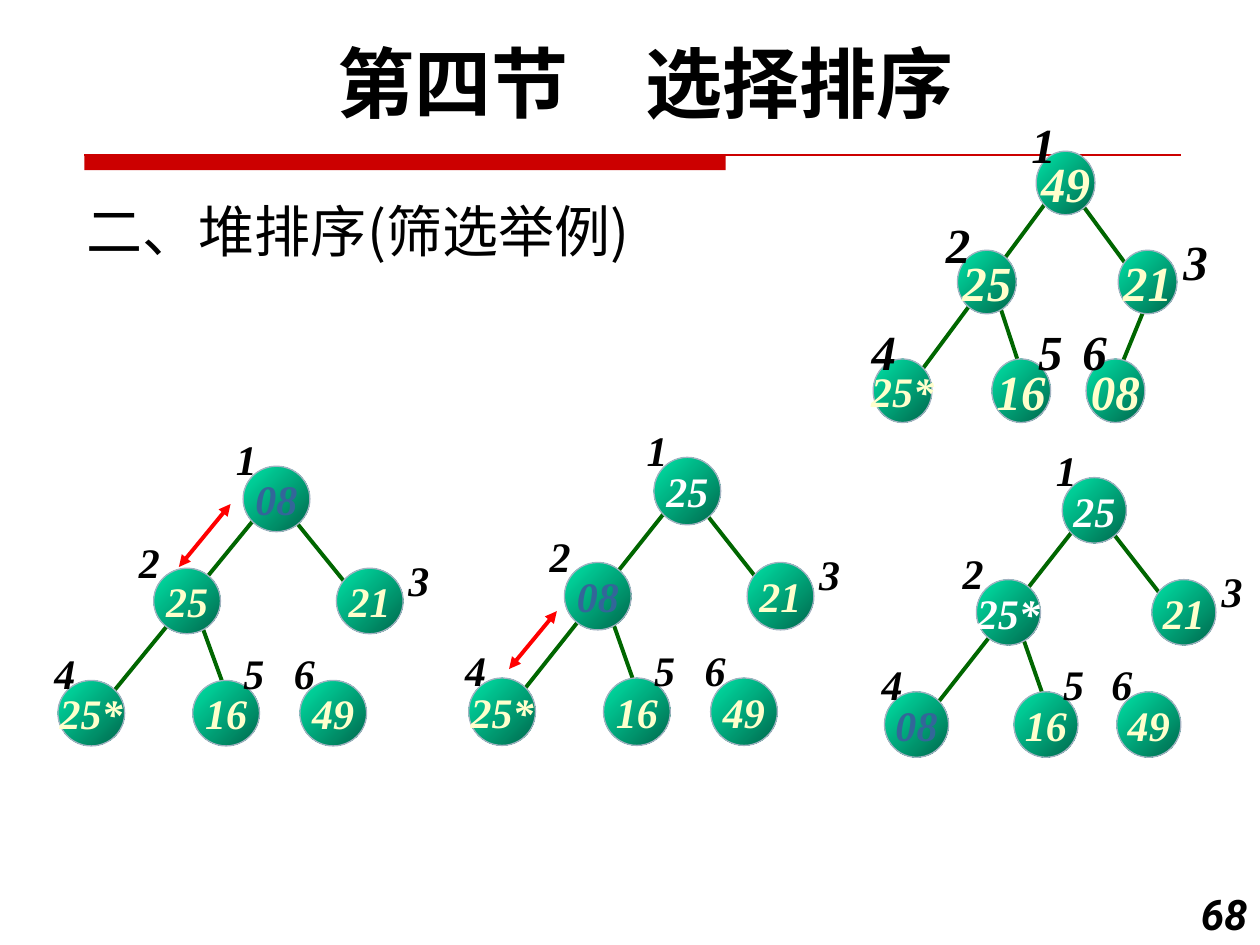
import dataclasses
import typing

import pptx
import pptx.dml.color
import pptx.enum.shapes
import pptx.enum.text
import pptx.oxml
import pptx.oxml.ns
import pptx.util

Inches = pptx.util.Inches
Point = tuple[float, float]
Edge = tuple[Point, Point]


@dataclasses.dataclass(frozen=True)
class Theme:
    red: str = "CC0000"
    swap: str = "FF0000"
    edge: str = "006600"
    node_light: str = "00E4A8"
    node_dark: str = "00684C"
    node_outline: str = "A3B2C1"
    ink: str = "000000"
    settled: str = "FFFFCC"
    moved: str = "FFFFFF"
    sifted: str = "336699"
    title_font: str = "Roboto"
    body_font: str = "Noto Sans CJK SC"
    number_font: str = "Times New Roman"
    title_size: int = 44
    body_size: int = 32
    large_size: int = 28
    small_size: int = 24
    edge_width: float = 2.25
    thin_width: float = 0.75


THEME = Theme()


@dataclasses.dataclass(frozen=True)
class TextStyle:
    font: str
    size: int
    color: str = THEME.ink
    bold: bool = True
    italic: bool = True


@dataclasses.dataclass(frozen=True)
class HeapTree:
    """A six-node heap; positions scale from the shared layout below."""
    left: float
    top: float
    scale_x: float
    scale_y: float
    values: tuple[str, ...]
    colors: tuple[str, ...]
    size: int = THEME.small_size
    label_box: Point = (0.37, 0.5)
    linked_last: bool = False
    swap: typing.Optional[Edge] = None

    def place(self, point: Point) -> Point:
        return (self.left + point[0] * self.scale_x,
                self.top + point[1] * self.scale_y)


# Shared tree layout, relative to the tree's left and the root's top
NODE_SIZE = (0.53, 0.52)
NODES = ((1.47, 0), (0.76, 0.81), (2.21, 0.81), (0, 1.7), (1.07, 1.7), (1.92, 1.7))
LABELS = ((1.31, -0.06), (0.54, 0.76), (2.68, 0.9),
          (-0.13, 1.64), (1.37, 1.64), (1.77, 1.64))  # left, middle
EDGES = (((1.83, 0.37), (2.43, 1.11)),
         ((1.14, 1.26), (1.3, 1.7)),
         ((1.6, 0.37), (0.39, 1.85)))
LAST_EDGE = ((2.46, 1.26), (2.23, 1.77))

SETTLED, MOVED, SIFTED = THEME.settled, THEME.moved, THEME.sifted
TREES = (
    HeapTree(0.46, 3.7, 1, 1, ("08", "25", "21", "25*", "16", "49"),
             (SIFTED,) + (SETTLED,) * 5, swap=((1.42, 4.5), (1.83, 4))),
    HeapTree(3.72, 3.63, 1, 1.03, ("25", "08", "21", "25*", "16", "49"),
             (MOVED, SIFTED) + (SETTLED,) * 4, swap=((4.04, 5.31), (4.42, 4.85))),
    HeapTree(7.02, 3.79, 0.96, 1, ("25", "25*", "21", "08", "16", "49"),
             (MOVED, MOVED, SETTLED, SIFTED, SETTLED, SETTLED)),
    HeapTree(6.93, 1.2, 0.88, 0.97, ("49", "25", "21", "25*", "16", "08"),
             (SETTLED,) * 6, THEME.large_size, (0.4, 0.57), linked_last=True),
)


def rgb(color: str) -> pptx.dml.color.RGBColor:
    return pptx.dml.color.RGBColor.from_string(color)


def write_text(shape, text: str, style: TextStyle, align, anchor, wrap: bool) -> None:
    frame = shape.text_frame
    frame.word_wrap = wrap
    frame.vertical_anchor = anchor
    paragraph = frame.paragraphs[0]
    paragraph.alignment = align
    run = paragraph.add_run()
    run.text = text
    font = run.font
    font.name, font.size = style.font, pptx.util.Pt(style.size)
    font.bold, font.italic = style.bold, style.italic
    font.color.rgb = rgb(style.color)
    east_asian = pptx.oxml.parse_xml(
        f'<a:ea {pptx.oxml.ns.nsdecls("a")} typeface="{THEME.body_font}"/>')
    run.font._element.append(east_asian)


def add_text(shapes, box: tuple[float, ...], text: str, style: TextStyle,
             align=pptx.enum.text.PP_ALIGN.CENTER,
             anchor=pptx.enum.text.MSO_ANCHOR.TOP, wrap: bool = True) -> None:
    text_box = shapes.add_textbox(*map(Inches, box))
    write_text(text_box, text, style, align, anchor, wrap)


def add_line(shapes, edge: Edge, color: str, width: float, arrows: bool = False) -> None:
    start, end = edge
    connector = shapes.add_connector(pptx.enum.shapes.MSO_CONNECTOR.STRAIGHT,
                                     *map(Inches, (*start, *end)))
    connector.line.color.rgb = rgb(color)
    connector.line.width = pptx.util.Pt(width)
    namespace = pptx.oxml.ns.nsdecls("a")
    if arrows:
        for tag in ("headEnd", "tailEnd"):
            connector.line._get_or_add_ln().append(
                pptx.oxml.parse_xml(f'<a:{tag} {namespace} type="triangle"/>'))
    connector._element.spPr.append(pptx.oxml.parse_xml(f"<a:effectLst {namespace}/>"))


def add_node(shapes, box: tuple[float, ...], value: str, style: TextStyle) -> None:
    node = shapes.add_shape(pptx.enum.shapes.MSO_SHAPE.OVAL, *map(Inches, box))
    node.shadow.inherit = False
    node.fill.gradient()
    node.fill.gradient_angle = 315
    for stop, color, position in zip(node.fill.gradient_stops,
                                     (THEME.node_light, THEME.node_dark), (0, 1)):
        stop.color.rgb = rgb(color)
        stop.position = position
    node.line.color.rgb = rgb(THEME.node_outline)
    node.line.width = pptx.util.Pt(THEME.thin_width)
    write_text(node, value, style, pptx.enum.text.PP_ALIGN.CENTER,
               pptx.enum.text.MSO_ANCHOR.MIDDLE, False)


def add_tree(slide, tree: HeapTree) -> None:
    shapes = slide.shapes.add_group_shape().shapes
    for start, end in EDGES + ((LAST_EDGE,) if tree.linked_last else ()):
        add_line(shapes, (tree.place(start), tree.place(end)),
                 THEME.edge, THEME.edge_width)
    width, height = NODE_SIZE[0] * tree.scale_x, NODE_SIZE[1] * tree.scale_y
    for point, value, color in zip(NODES, tree.values, tree.colors):
        size = THEME.small_size if len(value) > 2 else tree.size
        add_node(shapes, (*tree.place(point), width, height), value,
                 TextStyle(THEME.number_font, size, color))
    label_width, label_height = tree.label_box
    for number, point in enumerate(LABELS, start=1):
        left, middle = tree.place(point)
        add_text(shapes, (left, middle - label_height / 2, label_width, label_height),
                 str(number), TextStyle(THEME.number_font, tree.size), wrap=False)
    if tree.swap:
        add_line(shapes, tree.swap, THEME.swap, THEME.edge_width, arrows=True)


def main() -> None:
    presentation = pptx.Presentation()
    presentation.slide_width, presentation.slide_height = Inches(10), Inches(7.5)
    slide = presentation.slides.add_slide(presentation.slide_layouts[6])

    # Red rule under the title
    bar = slide.shapes.add_shape(pptx.enum.shapes.MSO_SHAPE.RECTANGLE,
                                 *map(Inches, (0.67, 1.23, 5.09, 0.12)))
    bar.shadow.inherit = False
    bar.fill.solid()
    bar.fill.fore_color.rgb = rgb(THEME.red)
    bar.line.fill.background()
    add_line(slide.shapes, ((0.67, 1.23), (9.37, 1.23)), THEME.red, THEME.thin_width)

    # Subtitle and page number
    add_text(slide.shapes, (0.59, 1.39, 6.25, 0.75), "二、堆排序(筛选举例)",
             TextStyle(THEME.body_font, THEME.body_size, bold=False, italic=False),
             pptx.enum.text.PP_ALIGN.LEFT, pptx.enum.text.MSO_ANCHOR.BOTTOM)
    add_text(slide.shapes, (9.33, 7, 0.67, 0.5), "68",
             TextStyle(THEME.title_font, THEME.small_size),
             pptx.enum.text.PP_ALIGN.RIGHT)

    # Heap after each sifting step
    for tree in TREES:
        add_tree(slide, tree)

    # Title
    add_text(slide.shapes, (0.5, 0.23, 9.25, 0.84), "第四节　选择排序",
             TextStyle(THEME.title_font, THEME.title_size, italic=False))
    presentation.save("out.pptx")


if __name__ == "__main__":
    main()
